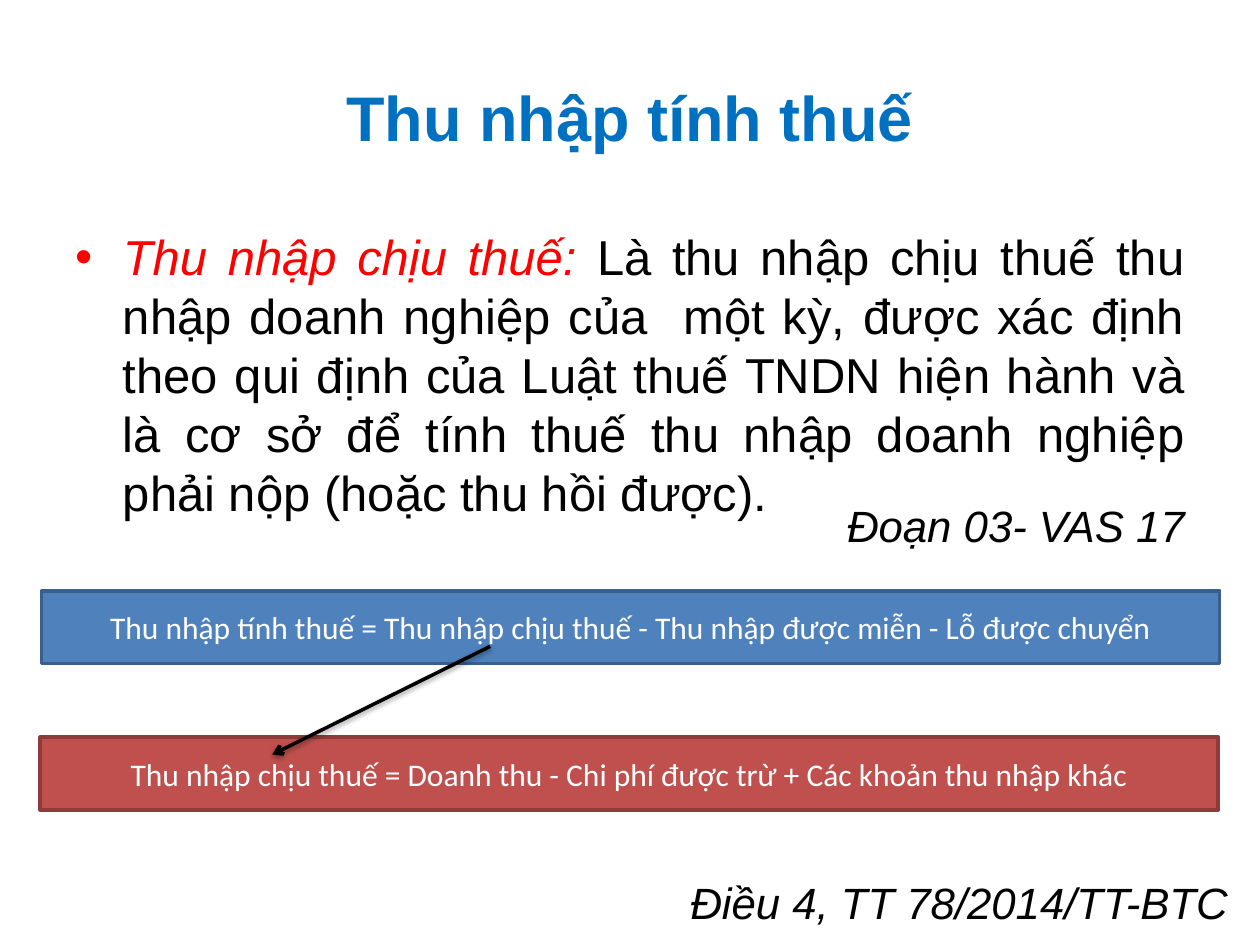
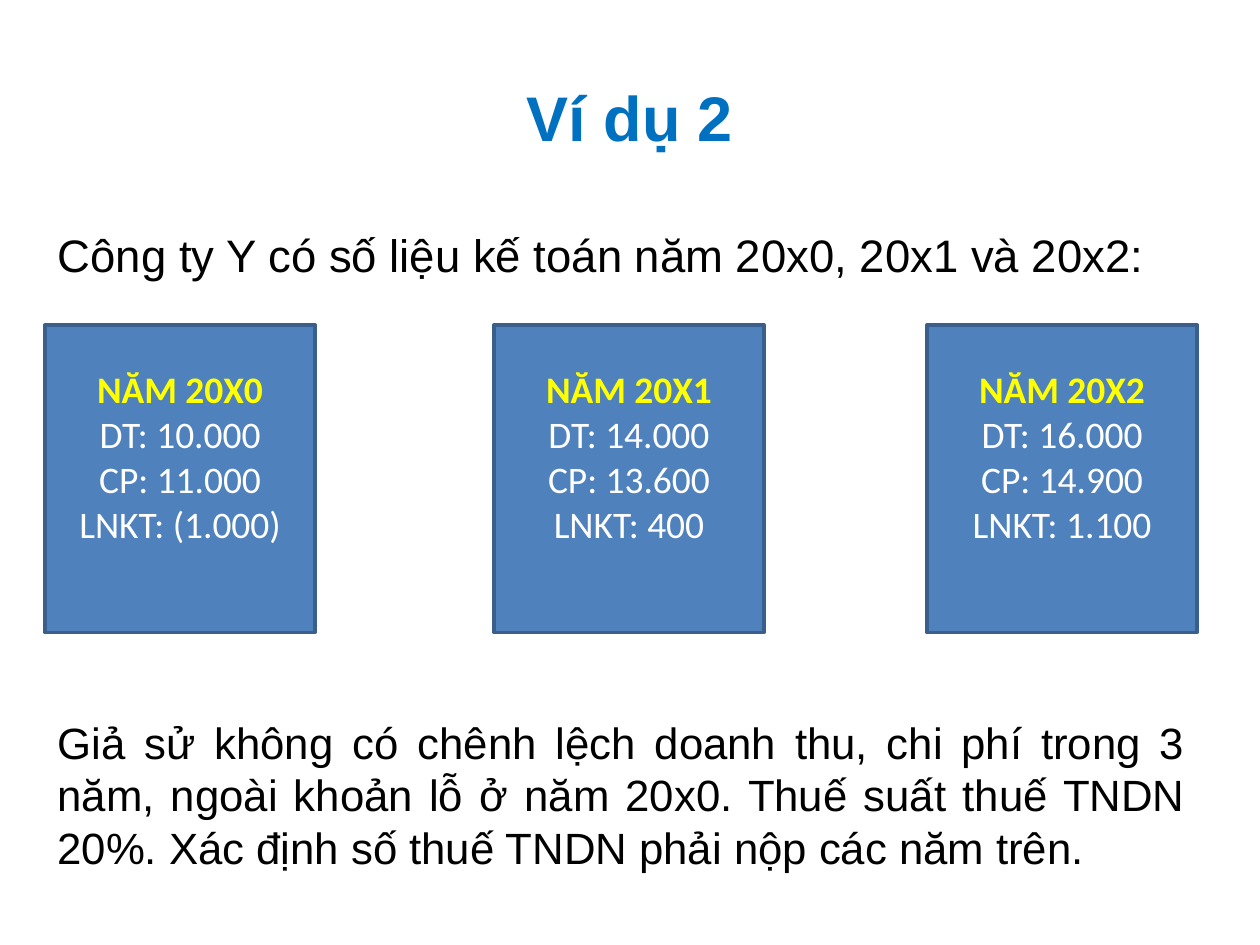
from lxml import etree
from pptx import Presentation
from pptx.dml.color import RGBColor
from pptx.enum.shapes import MSO_CONNECTOR, MSO_SHAPE
from pptx.enum.text import MSO_ANCHOR, MSO_AUTO_SIZE, PP_ALIGN
from pptx.oxml import parse_xml
from pptx.oxml.ns import nsdecls, qn
from pptx.util import Cm, Pt

RECTANGLE = MSO_SHAPE.RECTANGLE
STRAIGHT = MSO_CONNECTOR.STRAIGHT
MIDDLE = MSO_ANCHOR.MIDDLE
GROW = MSO_AUTO_SIZE.SHAPE_TO_FIT_TEXT
CENTER, RIGHT, JUSTIFY = PP_ALIGN.CENTER, PP_ALIGN.RIGHT, PP_ALIGN.JUSTIFY

COLORS = {
    "title": "0070C0",
    "text": "000000",
    "term": "FF0000",
    "light": "FFFFFF",
    "year": "FFFF00",
    "blue": "4F81BD",
    "blue_edge": "3A5F8C",
    "red": "C0504D",
    "red_edge": "8E3B39",
}
HEADING_FONT, BOX_FONT = "Arial", "Calibri"

YEAR_CARDS = [
    (0.91, "NĂM 20X0", ["DT: 10.000", "CP: 11.000", "LNKT: (1.000)"]),
    (9.96, "NĂM 20X1", ["DT: 14.000", "CP: 13.600", "LNKT: 400"]),
    (18.69, "NĂM 20X2", ["DT: 16.000", "CP: 14.900", "LNKT: 1.100"]),
]


def rgb(color):
    return RGBColor.from_string(COLORS[color])


def place(left, top, width, height):
    return Cm(left), Cm(top), Cm(width), Cm(height)


def style(font, size, color, name=HEADING_FONT, bold=False, italic=False):
    font.name, font.size = name, Pt(size)
    font.bold, font.italic = bold, italic
    font.color.rgb = rgb(color)


def add_titled_slide(prs, title):
    """Add a title-and-content slide; return it with its body placeholder."""
    slide = prs.slides.add_slide(prs.slide_layouts[1])
    slide.shapes.title.text_frame.text = title
    heading = slide.shapes.title.text_frame.paragraphs[0]
    heading.alignment = CENTER
    style(heading.font, 36, "title", bold=True)
    return slide, slide.placeholders[1]


def add_note(slide, box, text, alignment, italic=False):
    frame = slide.shapes.add_textbox(*place(*box)).text_frame
    frame.word_wrap = True
    frame.auto_size = GROW
    frame.text = text
    note = frame.paragraphs[0]
    note.alignment = alignment
    style(note.font, 25, "text", italic=italic)


def add_box(slide, box, color, lines, size):
    """Add an outlined rectangle of centred lines; return its text frame."""
    panel = slide.shapes.add_shape(RECTANGLE, *place(*box))
    panel.shadow.inherit = False
    panel.fill.solid()
    panel.fill.fore_color.rgb = rgb(color)
    panel.line.color.rgb = rgb(color + "_edge")
    panel.line.width = Pt(2)
    frame = panel.text_frame
    frame.word_wrap = True
    frame.vertical_anchor = MIDDLE
    frame.text = "\n".join(lines)
    for line in frame.paragraphs:
        line.alignment = CENTER
        style(line.font, size, "light", BOX_FONT)
    return frame


def add_year_card(slide, left, year, figures):
    frame = add_box(slide, (left, 6.55, 5.44, 6.2), "blue", [year, *figures], 21.4)
    frame.margin_bottom = Cm(1.05)
    style(frame.paragraphs[0].font, 21.4, "year", BOX_FONT, bold=True)


def add_shadowed_arrow(slide, start, end):
    arrow = slide.shapes.add_connector(
        STRAIGHT, *(Cm(value) for value in (*start, *end)))
    arrow.line.color.rgb = rgb("text")
    arrow.line.width = Pt(2)
    outline = arrow.line._get_or_add_ln()
    etree.SubElement(outline, qn("a:tailEnd"), type="arrow")
    outline.addnext(parse_xml(
        f'<a:effectLst {nsdecls("a")}>'
        '<a:outerShdw blurRad="40000" dist="20000" dir="5400000" rotWithShape="0">'
        f'<a:srgbClr val="{COLORS["text"]}"><a:alpha val="38000"/></a:srgbClr>'
        '</a:outerShdw></a:effectLst>'))


def build_taxable_income(prs):
    slide, body = add_titled_slide(prs, "Thu nhập tính thuế")
    definition = body.text_frame.paragraphs[0]
    definition.alignment = JUSTIFY
    definition.space_before = Pt(0)
    term, meaning = definition.add_run(), definition.add_run()
    term.text = "Thu nhập chịu thuế: "
    meaning.text = (
        "Là thu nhập chịu thuế thu nhập doanh nghiệp của  một kỳ, được xác định "
        "theo qui định của Luật thuế TNDN hiện hành và là cơ sở để tính thuế "
        "thu nhập doanh nghiệp phải nộp (hoặc thu hồi được).")
    style(term.font, 28, "term", italic=True)
    style(meaning.font, 28, "text")

    add_note(slide, (16.51, 9.93, 7.62, 1.32), "Đoạn 03- VAS 17", RIGHT, italic=True)
    add_box(slide, (0.84, 11.91, 23.75, 1.47), "blue",
            ["Thu nhập tính thuế = Thu nhập chịu thuế - Thu nhập được miễn"
             " - Lỗ được chuyển"], 18)
    add_box(slide, (0.81, 14.86, 23.75, 1.47), "red",
            ["Thu nhập chịu thuế = Doanh thu - Chi phí được trừ"
             " + Các khoản thu nhập khác"], 18)
    add_shadowed_arrow(slide, (9.88, 13.03), (5.49, 15.21))
    add_note(slide, (12.27, 17.53, 12.73, 1.32), "Điều 4, TT 78/2014/TT-BTC",
             RIGHT, italic=True)


def build_example(prs):
    slide, body = add_titled_slide(prs, "Ví dụ 2")
    body.left, body.top, body.width, body.height = place(0.91, 4.45, 23.22, 12.57)
    body.text_frame.text = "Công ty Y có số liệu kế toán năm 20x0, 20x1 và 20x2:"
    intro = body.text_frame.paragraphs[0]
    intro.space_before = Pt(0)
    properties = intro._p.get_or_add_pPr()
    properties.set("marL", "0")
    properties.set("indent", "0")
    etree.SubElement(properties, qn("a:buNone"))
    style(intro.font, 26, "text")

    for left, year, figures in YEAR_CARDS:
        add_year_card(slide, left, year, figures)
    add_note(slide, (0.91, 14.3, 23.22, 3.45),
             "Giả sử không có chênh lệch doanh thu, chi phí trong 3 năm, ngoài "
             "khoản lỗ ở năm 20x0. Thuế suất thuế TNDN 20%. Xác định số thuế "
             "TNDN phải nộp các năm trên.", JUSTIFY)


def main():
    prs = Presentation()
    prs.slide_width, prs.slide_height = Cm(25.4), Cm(19.05)
    build_taxable_income(prs)
    build_example(prs)
    prs.save("out.pptx")


if __name__ == "__main__":
    main()
